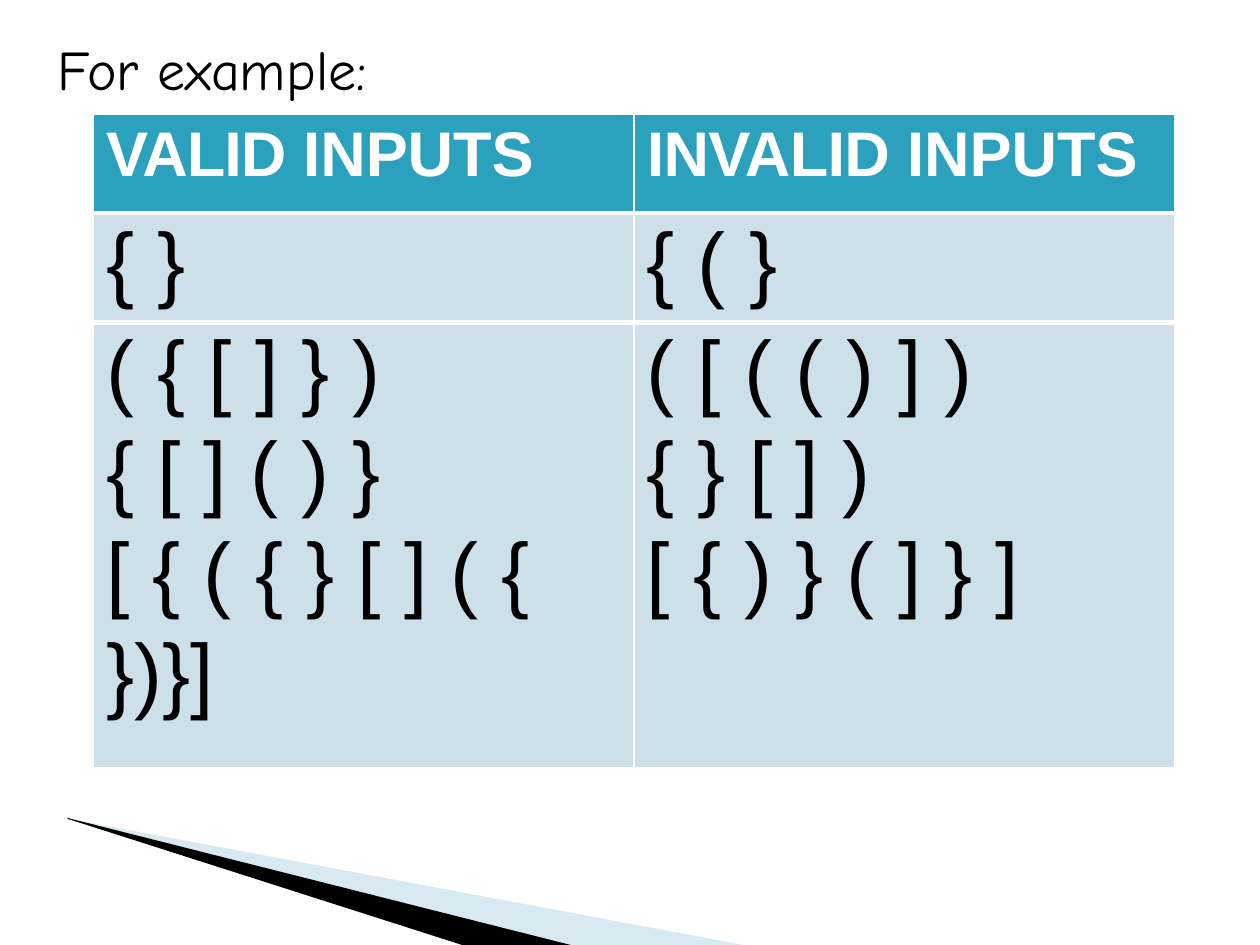
from dataclasses import dataclass

from lxml import etree
from pptx import Presentation
from pptx.dml.color import RGBColor
from pptx.enum.text import MSO_ANCHOR, MSO_AUTO_SIZE, PP_ALIGN
from pptx.oxml.ns import qn
from pptx.util import Pt

TOP = MSO_ANCHOR.TOP
GROW = MSO_AUTO_SIZE.SHAPE_TO_FIT_TEXT
LEFT = PP_ALIGN.LEFT
TITLE_ONLY = 5


@dataclass(frozen=True)
class Theme:
    ink: str = "000000"
    paper: str = "FFFFFF"
    header: str = "2CA1BE"
    body: str = "CDDFE8"
    wing: str = "9FCADC"
    title_font: str = "Comic Neue"
    table_font: str = "Arial"
    title_size: int = 32
    header_size: int = 36
    body_size: int = 48


THEME = Theme()
HEADERS = [("VALID ", -0.6), ("INVALID ", -0.4)]
EXAMPLES = [
    ("{ }", "{ ( }"),
    ("( { [ ] } )", "( [ ( ( ) ] )"),
    ("{ [ ] ( ) }", "{ } [ ] )"),
    ("[ { ( { } [ ] ( {", "[ { ) } ( ] } ]"),
    ("})}]", ""),
]
ROW_HEIGHTS = [56.2, 62.6, 57.6, 57.6, 57.6, 81.4]
COLUMN_WIDTH = 308.9
WING = [(39.6, 468), (39.6, 468.7), (46.1, 469.4), (325.4, 540), (424.8, 540)]
SPIKE = [(38.2, 467.3), (38.9, 468), (264.2, 540), (326.2, 540)]


def add_polygon(s, points, color, opacity=100):
    builder = s.shapes.build_freeform(*map(Pt, points[0]))
    builder.add_line_segments([(Pt(x), Pt(y)) for x, y in points[1:]])
    shape = builder.convert_to_shape()
    shape.shadow.inherit = False
    shape.line.fill.background()
    shape.fill.solid()
    shape.fill.fore_color.rgb = RGBColor.from_string(color)
    if opacity < 100:
        clr = shape._element.spPr.find(qn("a:solidFill"))[0]
        etree.SubElement(clr, qn("a:alpha"), val=str(opacity * 1000))


def format_run(r, font, size, color, bold=False, spacing=0):
    r.font.name = font
    r.font.size = Pt(size)
    r.font.bold = bold
    r.font.color.rgb = RGBColor.from_string(color)
    if spacing:
        r._r.get_or_add_rPr().set("spc", str(round(spacing * 100)))


def add_title(s, text):
    sp = s.shapes.title
    sp.left, sp.top, sp.width, sp.height = map(Pt, (33.1, 18.7, 193.7, 40.3))
    tf = sp.text_frame
    tf.text = text
    tf.word_wrap = True
    tf.auto_size = GROW
    tf.vertical_anchor = TOP
    tf.margin_left = tf.margin_right = tf.margin_bottom = 0
    tf.margin_top = Pt(0.9)
    p = tf.paragraphs[0]
    p.alignment = LEFT
    p.space_before = Pt(1.1)
    format_run(p.runs[0], THEME.title_font, THEME.title_size, THEME.ink)


def set_borders(cell, left=1, right=1, top=0, bottom=0):
    tcPr = cell._tc.get_or_add_tcPr()
    sides = {"a:lnL": left, "a:lnR": right, "a:lnT": top, "a:lnB": bottom}
    for i, (tag, width) in enumerate(sides.items()):
        ln = etree.Element(qn(tag), w=str(Pt(width)))
        if width:
            fill = etree.SubElement(ln, qn("a:solidFill"))
            etree.SubElement(fill, qn("a:srgbClr"), val=THEME.paper)
        else:
            etree.SubElement(ln, qn("a:noFill"))
        tcPr.insert(i, ln)


def format_cell(cell, color, margin_top=0, **borders):
    cell.fill.solid()
    cell.fill.fore_color.rgb = RGBColor.from_string(color)
    cell.margin_left = Pt(7.2)
    cell.margin_right = cell.margin_bottom = 0
    cell.margin_top = Pt(margin_top)
    cell.vertical_anchor = TOP
    set_borders(cell, **borders)


def fill_header(cell, word, spacing):
    format_cell(cell, THEME.header, 2.9, top=1, bottom=3)
    p = cell.text_frame.paragraphs[0]
    p.space_before = Pt(2.6)
    for text, spc in ((word, spacing), ("INPUTS", 0)):
        r = p.add_run()
        r.text = text
        format_run(r, THEME.table_font, THEME.header_size, THEME.paper, True, spc)


def fill_example(cell, text, row):
    first, second, last = row == 1, row == 2, row == len(EXAMPLES)
    format_cell(cell, THEME.body, 2.2 if first else 0,
                top=3 if first or second else 0,
                bottom=3 if first else 1 if last else 0)
    if not text:
        return
    cell.text_frame.text = text
    p = cell.text_frame.paragraphs[0]
    if first:
        p.space_before = Pt(2.3)
    else:
        p.line_spacing = Pt(55)
    format_run(p.runs[0], THEME.table_font, THEME.body_size, THEME.ink)


def add_examples_table(s):
    frame = s.shapes.add_table(len(ROW_HEIGHTS), len(HEADERS), Pt(53.5), Pt(65.5),
                               Pt(COLUMN_WIDTH * len(HEADERS)), Pt(sum(ROW_HEIGHTS)))
    table = frame.table
    for column in table.columns:
        column.width = Pt(COLUMN_WIDTH)
    for row, height in zip(table.rows, ROW_HEIGHTS):
        row.height = Pt(height)
    for c, (word, spacing) in enumerate(HEADERS):
        fill_header(table.cell(0, c), word, spacing)
    for i, texts in enumerate(EXAMPLES, start=1):
        for c, text in enumerate(texts):
            fill_example(table.cell(i, c), text, i)


def main():
    prs = Presentation()
    prs.slide_width, prs.slide_height = Pt(720), Pt(540)
    s = prs.slides.add_slide(prs.slide_layouts[TITLE_ONLY])
    add_polygon(s, WING, THEME.wing, 40)
    add_polygon(s, SPIKE, THEME.ink)
    add_title(s, "For example:")
    add_examples_table(s)
    prs.save("out.pptx")


if __name__ == "__main__":
    main()
